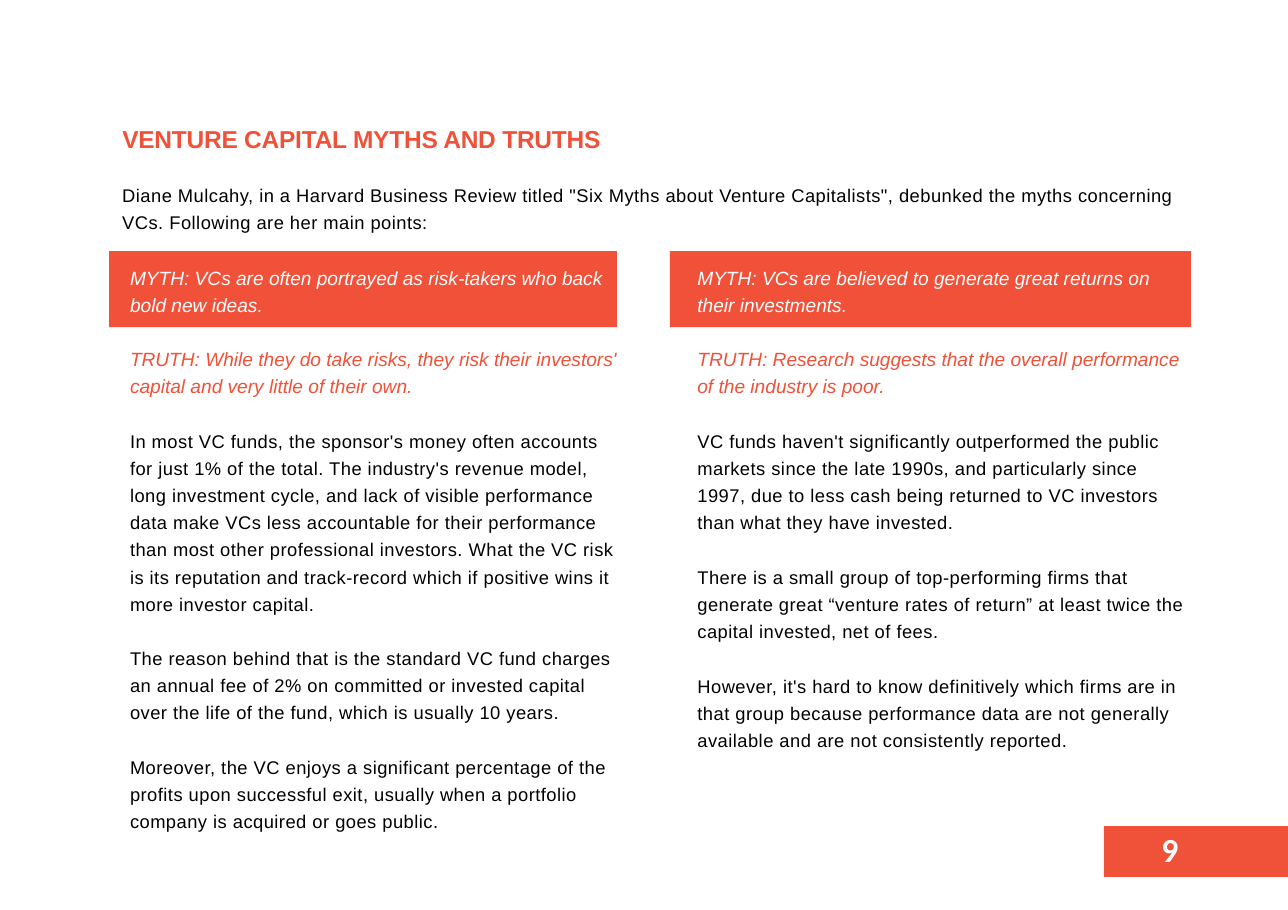
from pptx import Presentation
from pptx.dml.color import RGBColor
from pptx.enum.shapes import MSO_SHAPE
from pptx.enum.text import MSO_ANCHOR, MSO_AUTO_SIZE, PP_ALIGN
from pptx.oxml.ns import qn
from pptx.util import Pt
from lxml import etree

RECTANGLE = MSO_SHAPE.RECTANGLE
TOP, NO_FIT, LEFT = MSO_ANCHOR.TOP, MSO_AUTO_SIZE.NONE, PP_ALIGN.LEFT

COLORS = {"accent": "F05139", "bar": "F15138", "text": "000000", "white": "FFFFFF"}

# Format values for each kind of text
FORMATS = {
    "title": {"size": 16, "bold": True, "color": "accent", "tracking": -0.1, "lines": 1},
    "body": {"size": 12, "color": "text", "tracking": 0.3, "lines": 1.23},
    "myth": {"size": 12.5, "italic": True, "color": "white", "lines": 1.18},
    "truth": {"size": 12.5, "italic": True, "color": "accent", "lines": 1.18},
    "number": {"name": "Calibri", "size": 22, "bold": True, "color": "white", "lines": 1},
}

INTRO = ('Diane Mulcahy, in a Harvard Business Review titled "Six Myths about Venture '
         'Capitalists", debunked the myths concerning VCs. Following are her main points:')

COLUMNS = [
    {
        "bar": (71.28, 331.92), "text_left": 84.96,
        "myth": "MYTH: VCs are often portrayed as risk-takers who back bold new ideas.",
        "truth": "TRUTH: While they do take risks, they risk their investors' capital "
                 "and very little of their own.",
        "body": [
            "In most VC funds, the sponsor's money often accounts for just 1% of the total. "
            "The industry's revenue model, long investment cycle, and lack of visible "
            "performance data make VCs less accountable for their performance than most "
            "other professional investors. What the VC risk is its reputation and "
            "track-record which if positive wins it more investor capital.",
            "The reason behind that is the standard VC fund charges an annual fee of 2% on "
            "committed or invested capital over the life of the fund, which is usually "
            "10 years.",
            "Moreover, the VC enjoys a significant percentage of the profits upon successful "
            "exit, usually when a portfolio company is acquired or goes public.",
        ],
    },
    {
        "bar": (437.76, 340.56), "text_left": 455.76,
        "myth": "MYTH: VCs are believed to generate great returns on their investments.",
        "truth": "TRUTH: Research suggests that the overall performance of the industry "
                 "is poor.",
        "body": [
            "VC funds haven't significantly outperformed the public markets since the late "
            "1990s, and particularly since 1997, due to less cash being returned to VC "
            "investors than what they have invested.",
            "There is a small group of top-performing firms that generate great “venture "
            "rates of return” at least twice the capital invested, net of fees.",
            "However, it's hard to know definitively which firms are in that group because "
            "performance data are not generally available and are not consistently reported.",
        ],
    },
]


class SlideBuilder:
    def __init__(self, page):
        self.page = page

    def place(self, shape, left, top, width, height):
        places = {"left": left, "top": top, "width": width, "height": height}
        for name, value in places.items():
            setattr(shape, name, Pt(value))

    def fill_text(self, shape, paragraphs, gap=0, inset=(0, 0)):
        """Fill a shape with (format name, text) paragraphs."""
        frame = shape.text_frame
        settings = {"word_wrap": True, "auto_size": NO_FIT, "vertical_anchor": TOP,
                    "margin_left": Pt(inset[0]), "margin_top": Pt(inset[1]),
                    "margin_right": 0, "margin_bottom": 0}
        for name, value in settings.items():
            setattr(frame, name, value)
        for index, (kind, text) in enumerate(paragraphs):
            para = frame.add_paragraph() if index else frame.paragraphs[0]
            self.format_paragraph(para, text, FORMATS[kind], gap if index else 0)

    def format_paragraph(self, para, text, style, gap):
        properties = para._p.get_or_add_pPr()
        properties.set("marL", "0")
        properties.set("indent", "0")
        etree.SubElement(properties, qn("a:buNone"))
        settings = {"alignment": LEFT, "line_spacing": style["lines"],
                    "space_before": Pt(gap), "space_after": Pt(0)}
        for name, value in settings.items():
            setattr(para, name, value)
        span = para.add_run()
        span.text = text
        font = {"name": style.get("name", "Arial"), "size": Pt(style["size"]),
                "bold": style.get("bold", False), "italic": style.get("italic", False)}
        for name, value in font.items():
            setattr(span.font, name, value)
        span.font.color.rgb = RGBColor.from_string(COLORS[style["color"]])
        tracking = round(style.get("tracking", 0) * 100)
        span._r.get_or_add_rPr().set("spc", str(tracking))

    def placeholder(self, index, area, paragraphs, gap=0):
        shape = self.page.placeholders[index]
        self.place(shape, *area)
        self.fill_text(shape, paragraphs, gap)

    def text(self, area, kind, text):
        box = self.page.shapes.add_textbox(*map(Pt, area))
        self.fill_text(box, [(kind, text)])

    def block(self, area, color):
        shape = self.page.shapes.add_shape(RECTANGLE, *map(Pt, area))
        shape.shadow.inherit = False
        shape.fill.solid()
        shape.fill.fore_color.rgb = RGBColor.from_string(COLORS[color])
        shape.line.fill.background()
        return shape


def main():
    deck = Presentation()
    deck.slide_width, deck.slide_height = Pt(841.68), Pt(594.72)
    two_content = deck.slide_layouts[3]
    builder = SlideBuilder(deck.slides.add_slide(two_content))

    # Heading and introduction
    builder.placeholder(0, (79.9, 81, 690, 20), [("title", "VENTURE CAPITAL MYTHS AND TRUTHS")])
    builder.text((79.9, 117.3, 690, 37), "body", INTRO)

    # One myth bar and its truth per column
    for index, column in enumerate(COLUMNS, start=1):
        left, width = column["bar"]
        bar = builder.block((left, 164.16, width, 49.68), "bar")
        builder.fill_text(bar, [("myth", column["myth"])],
                          inset=(column["text_left"] - left, 7.2))
        story = [("truth", column["truth"])] + [("body", text) for text in column["body"]]
        builder.placeholder(index, (column["text_left"], 224.6, 319.7, 322), story, gap=18)

    # Page number tab
    builder.block((721.44, 540, 120.24, 33.12), "accent")
    builder.text((758.9, 541.4, 18, 28.8), "number", "9")

    deck.save("out.pptx")


if __name__ == "__main__":
    main()
